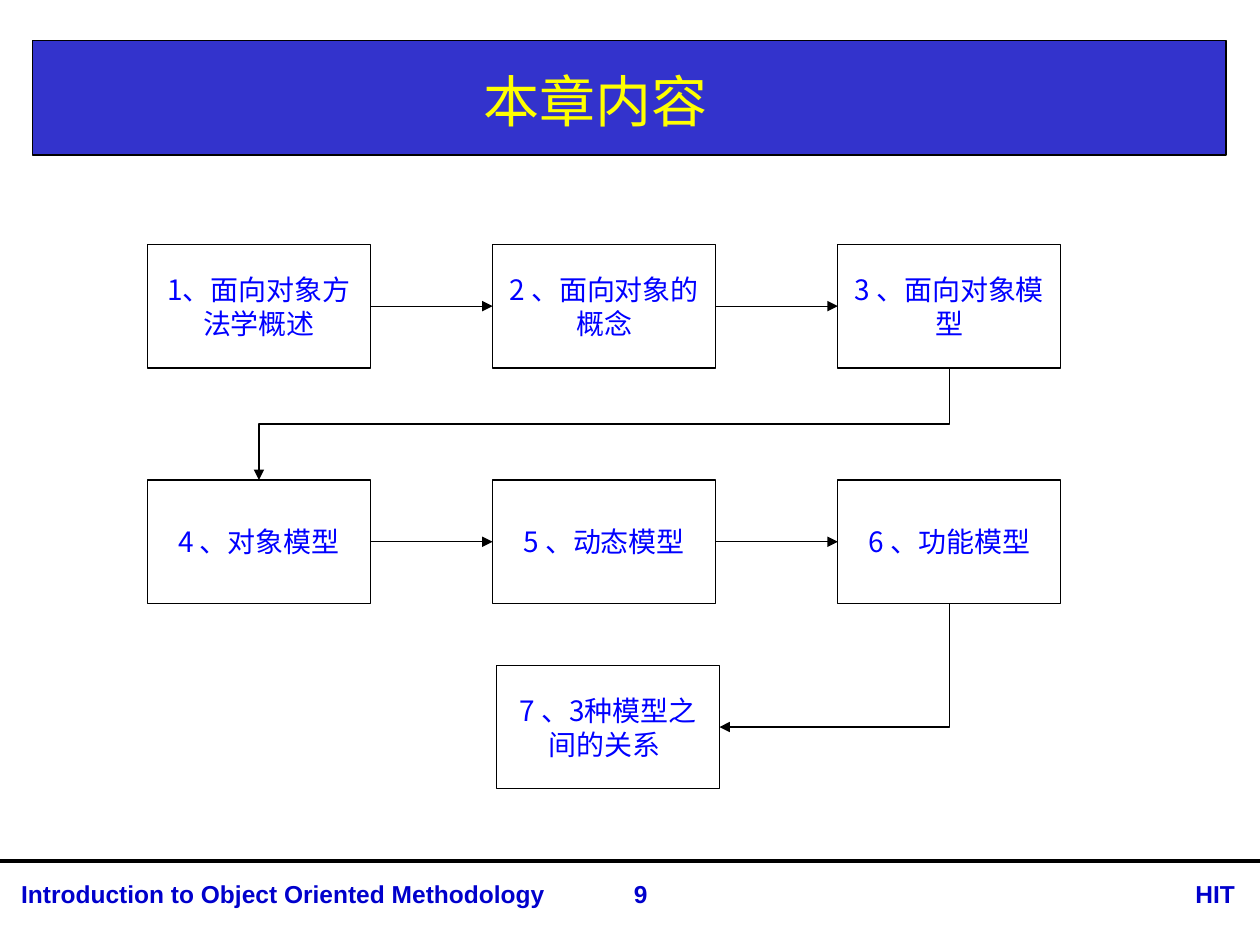
from lxml import etree
from pptx import Presentation, util as u
from pptx.dml.color import RGBColor
from pptx.enum import shapes, text
from pptx.oxml import ns

COLUMNS, ROWS = 100, 75
WIDTH, HEIGHT = u.Inches(10), u.Inches(7.5)
NODE_WIDTH, NODE_HEIGHT = 17.7, 9.8
TOP, LEFT, BOTTOM, RIGHT = range(4)
BLACK = RGBColor(0x00, 0x00, 0x00)
WHITE = RGBColor(0xFF, 0xFF, 0xFF)
BANNER_BLUE = RGBColor(0x33, 0x33, 0xCC)
FOOTER_BLUE = RGBColor(0x00, 0x00, 0xCC)
NODE_BLUE = RGBColor(0x00, 0x00, 0xFF)
YELLOW = RGBColor(0xFF, 0xFF, 0x00)
HAN_FONT = "Noto Sans CJK SC"
CENTER, MIDDLE = text.PP_ALIGN.CENTER, text.MSO_ANCHOR.MIDDLE


def place(box):
    """Turn a box in grid columns and rows into slide lengths."""
    left, top, width, height = box
    return [round(share) for share in (
        left * WIDTH / COLUMNS, top * HEIGHT / ROWS,
        width * WIDTH / COLUMNS, height * HEIGHT / ROWS)]


def write(shape, words, size, color, font=HAN_FONT, bold=False,
          align=CENTER, anchor=MIDDLE):
    """Put formatted words into a shape."""
    frame = shape.text_frame
    frame.word_wrap = True
    frame.vertical_anchor = anchor
    para = frame.paragraphs[0]
    para.alignment = align
    span = para.add_run()
    span.text = words
    span.font.name = font
    span.font.size = u.Pt(size)
    span.font.bold = bold
    span.font.color.rgb = color
    latin = span.font._element.find(ns.qn("a:latin"))
    east_asian = etree.Element(ns.qn("a:ea"), typeface=font)
    latin.addnext(east_asian)


def add_label(page, box, words, **style):
    """Add a text box with formatted words."""
    write(page.shapes.add_textbox(*place(box)), words, **style)


def add_rectangle(page, box, fill):
    """Add a filled rectangle with a thin black outline."""
    shape = page.shapes.add_shape(shapes.MSO_SHAPE.RECTANGLE, *place(box))
    shape.shadow.inherit = False
    shape.fill.solid()
    shape.fill.fore_color.rgb = fill
    shape.line.color.rgb = BLACK
    shape.line.width = u.Pt(0.75)
    return shape


def add_line(page, kind=shapes.MSO_CONNECTOR.STRAIGHT, ends=(0, 0, 0, 0),
             weight=0.75, arrow=False):
    """Add a black connector without shadow."""
    line = page.shapes.add_connector(kind, *place(ends))
    line.line.color.rgb = BLACK
    line.line.width = u.Pt(weight)
    if arrow:
        etree.SubElement(line.line._get_or_add_ln(), ns.qn("a:tailEnd"), type="triangle")
    etree.SubElement(line._element.spPr, ns.qn("a:effectLst"))
    return line


def join(page, start, start_side, end, end_side, kind=shapes.MSO_CONNECTOR.STRAIGHT):
    """Join two nodes with an arrow."""
    arrow = add_line(page, kind, arrow=True)
    arrow.begin_connect(start, start_side)
    arrow.end_connect(end, end_side)
    return arrow


def join_down_left(page, start, end, end_side, preset):
    """Join two nodes with an elbow that leaves downward and turns left."""
    elbow = join(page, start, BOTTOM, end, end_side, shapes.MSO_CONNECTOR.ELBOW)
    across = elbow.begin_x - elbow.end_x
    down = elbow.end_y - elbow.begin_y
    center_x = (elbow.begin_x + elbow.end_x) // 2
    center_y = (elbow.begin_y + elbow.end_y) // 2
    elbow.left, elbow.top = center_x - down // 2, center_y - across // 2
    elbow.width, elbow.height = down, across
    properties = elbow._element.spPr
    frame = properties.find(ns.qn("a:xfrm"))
    frame.attrib.pop("flipH", None)
    frame.set("rot", "5400000")
    properties.find(ns.qn("a:prstGeom")).set("prst", preset)


def add_banner(page, box):
    """Draw the title banner."""
    left, top, width, height = box
    add_rectangle(page, box, BANNER_BLUE)
    add_label(page, (0, top + 0.4, left + width - 2.8, height - 0.4),
              "本章内容", size=32, color=YELLOW)


def add_footer(page, box):
    """Draw the footer rule and its three labels."""
    left, top, width, height = box
    add_line(page, ends=(left, top, left + width, top), weight=2.25)
    labels = (
        (0.7, 46.3, "Introduction to Object Oriented Methodology", text.PP_ALIGN.LEFT),
        (88.7, 10.3, "HIT", text.PP_ALIGN.RIGHT),
        (45.7, 10.3, "9", CENTER),
    )
    for offset, span, words, align in labels:
        add_label(page, (left + offset, top + 1, span, height - 1), words,
                  size=14, color=FOOTER_BLUE, font="Arial", bold=True,
                  align=align, anchor=text.MSO_ANCHOR.TOP)


def add_node(page, left, top, words):
    """Draw one chapter node."""
    node = add_rectangle(page, (left, top, NODE_WIDTH, NODE_HEIGHT), WHITE)
    write(node, words, size=16, color=NODE_BLUE)
    return node


def add_chapter_flow(page, box):
    """Draw the seven chapters and the arrows between them."""
    left, top, width, height = box
    chapters = (
        ("1、面向对象方法学概述", "2 、面向对象的概念", "3 、面向对象模型"),
        ("4 、对象模型", "5 、动态模型", "6 、功能模型"),
    )
    column_step, row_step = (width - NODE_WIDTH) / 2, 18.7
    grid = [[add_node(page, left + column * column_step, top + row * row_step, words)
             for column, words in enumerate(names)]
            for row, names in enumerate(chapters)]
    last = add_node(page, left + column_step + 0.3, top + height - NODE_HEIGHT,
                    "7 、3种模型之间的关系 ")
    for nodes in grid:
        for start, end in zip(nodes, nodes[1:]):
            join(page, start, RIGHT, end, LEFT)
    join_down_left(page, grid[0][-1], grid[1][0], TOP, "bentConnector3")
    join_down_left(page, grid[1][-1], last, RIGHT, "bentConnector2")


def main():
    """Build and save the deck."""
    deck = Presentation()
    deck.slide_width, deck.slide_height = WIDTH, HEIGHT
    page = deck.slides.add_slide(deck.slide_layouts[6])
    add_footer(page, (0, 68.3, COLUMNS, 4.4))
    add_banner(page, (2.6, 3.2, 94.7, 9.1))
    add_chapter_flow(page, (11.7, 19.4, 72.5, 43.2))
    deck.save("out.pptx")


if __name__ == "__main__":
    main()
